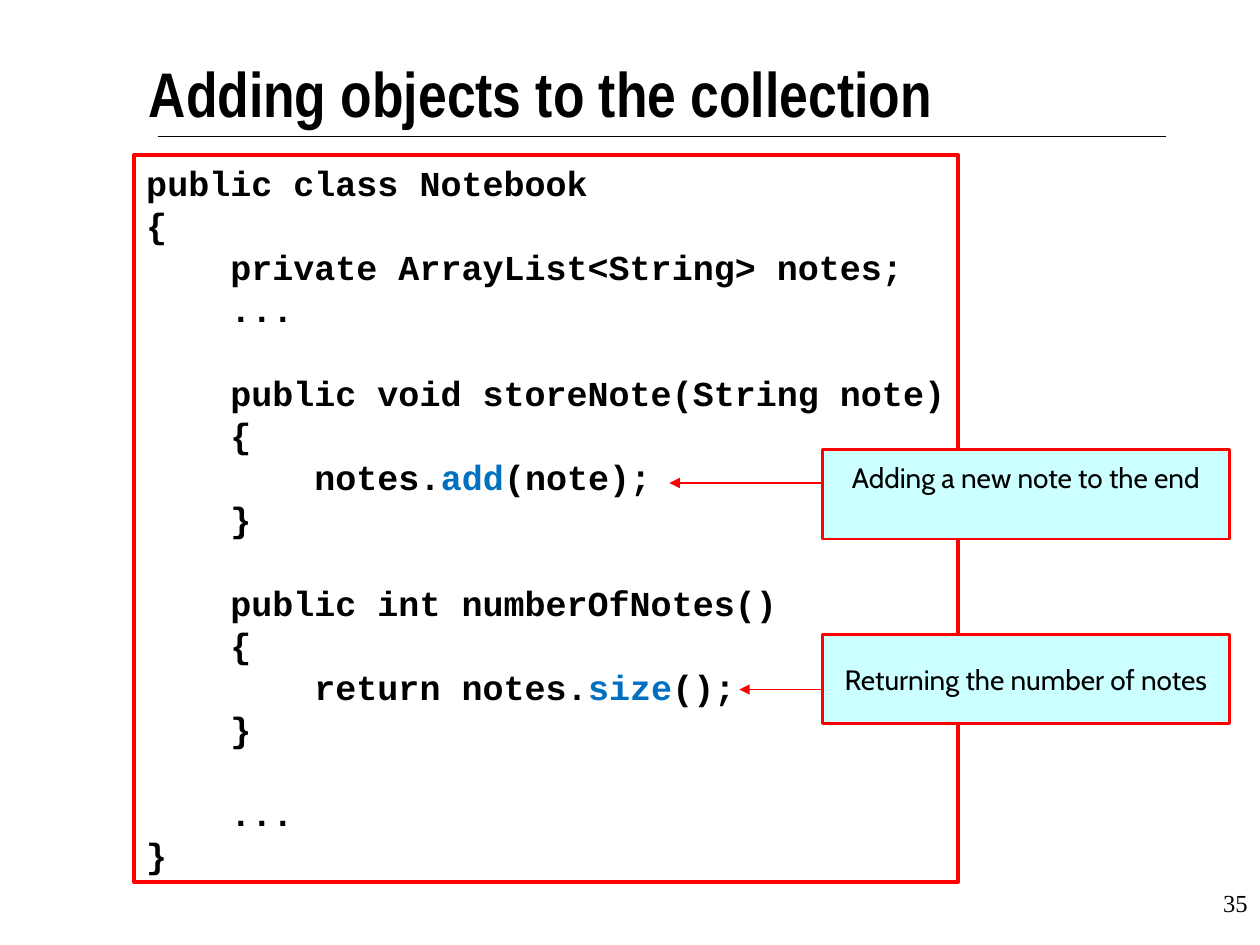
from lxml.etree import SubElement
from pptx import Presentation
from pptx.dml.color import RGBColor
from pptx.enum.shapes import MSO_CONNECTOR, MSO_SHAPE
from pptx.enum.text import MSO_ANCHOR, MSO_AUTO_SIZE, PP_ALIGN
from pptx.oxml.ns import qn
from pptx.util import Pt

BLACK, WHITE, RED, BLUE, CYAN = "000000", "FFFFFF", "FF0000", "0070C0", "CCFFFF"
TITLE = "Adding objects to the collection"
PAGE = "35"
CODE = """public class Notebook
{
    private ArrayList<String> notes;
    ...

    public void storeNote(String note)
    {
        notes.add(note);
    }

    public int numberOfNotes()
    {
        return notes.size();
    }

    ...
}"""
HIGHLIGHTS = ("add(", "size(")
# text, box top, arrow y, arrow tip x, anchor
CALLOUTS = [
    ("Adding a new note to the end", 257, 276, 382.5, MSO_ANCHOR.TOP),
    ("Returning the number of notes", 362.5, 394, 422.5, MSO_ANCHOR.MIDDLE),
]
CALLOUT_LEFT, CALLOUT_WIDTH, CALLOUT_HEIGHT = 470, 232.5, 51


def rgb(value):
    return RGBColor.from_string(value)


def set_font(font, name, size, bold=False):
    font.name, font.size, font.bold = name, Pt(size), bold
    font.color.rgb = rgb(BLACK)


def add_box(left, top, width, height, fill, line_width):
    sp = s.shapes.add_shape(MSO_SHAPE.RECTANGLE, Pt(left), Pt(top), Pt(width), Pt(height))
    sp.shadow.inherit = False
    sp.fill.solid()
    sp.fill.fore_color.rgb = rgb(fill)
    sp.line.color.rgb = rgb(RED)
    sp.line.width = Pt(line_width)
    return sp


def add_line(x1, y1, x2, y2, color, arrow=False):
    line = s.shapes.add_connector(MSO_CONNECTOR.STRAIGHT, Pt(x1), Pt(y1), Pt(x2), Pt(y2))
    line.line.color.rgb = rgb(color)
    line.line.width = Pt(0.75)
    props = line._element.spPr
    if arrow:
        SubElement(props.find(qn("a:ln")), qn("a:tailEnd"), type="triangle")
    SubElement(props, qn("a:effectLst"))


def add_code_line(p, text):
    """Write one line of code, colouring the highlighted method name."""
    p.alignment = PP_ALIGN.LEFT
    p.line_spacing = Pt(24)
    set_font(p.font, "Courier New", 20, True)
    method = next((h[:-1] for h in HIGHLIGHTS if "." + h in text), None)
    if not method:
        p.add_run().text = text
        return
    before, after = text.split(method)
    for part in (before, method, after):
        r = p.add_run()
        r.text = part
        if part == method:
            r.font.color.rgb = rgb(BLUE)


prs = Presentation()
prs.slide_width, prs.slide_height = Pt(720), Pt(540)
s = prs.slides.add_slide(prs.slide_layouts[5])

add_line(90, 78, 666, 78, BLACK)

title = s.shapes.title
title.left, title.top, title.width, title.height = Pt(85), Pt(28), Pt(551), Pt(54)
tf = title.text_frame
tf.text = TITLE
tf.auto_size = MSO_AUTO_SIZE.NONE
tf.vertical_anchor = MSO_ANCHOR.TOP
tf.margin_left = tf.margin_right = tf.margin_bottom = 0
tf.margin_top = Pt(3)
p = tf.paragraphs[0]
p.alignment = PP_ALIGN.LEFT
set_font(p.font, "Arial Narrow", 36, True)

tf = s.shapes.add_textbox(Pt(570), Pt(504), Pt(150), Pt(36)).text_frame
tf.word_wrap = True
tf.text = PAGE
p = tf.paragraphs[0]
p.alignment = PP_ALIGN.RIGHT
set_font(p.font, "Times New Roman", 14)

tf = add_box(76.5, 88.5, 471, 415.5, WHITE, 2).text_frame
tf.word_wrap = False
tf.vertical_anchor = MSO_ANCHOR.TOP
for i, text in enumerate(CODE.split("\n")):
    add_code_line(tf.add_paragraph() if i else tf.paragraphs[0], text)

for text, top, arrow_y, tip_x, anchor in CALLOUTS:
    add_line(CALLOUT_LEFT, arrow_y, tip_x, arrow_y, RED, arrow=True)
    tf = add_box(CALLOUT_LEFT, top, CALLOUT_WIDTH, CALLOUT_HEIGHT, CYAN, 1.5).text_frame
    tf.word_wrap = True
    tf.vertical_anchor = anchor
    tf.margin_top = tf.margin_bottom = Pt(6)
    tf.text = text
    p = tf.paragraphs[0]
    p.alignment = PP_ALIGN.CENTER
    set_font(p.font, "Cabin", 16)

prs.save("out.pptx")
